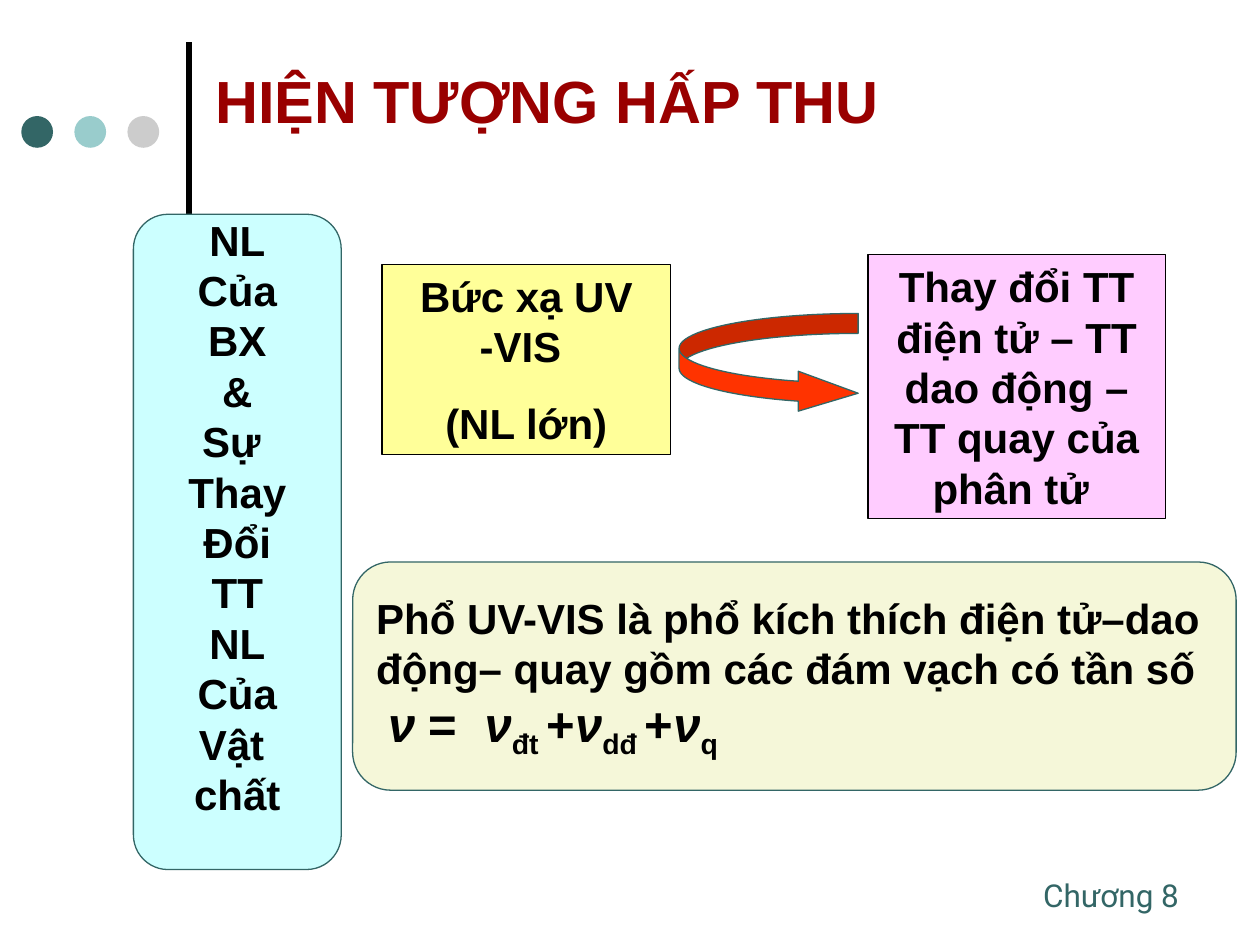
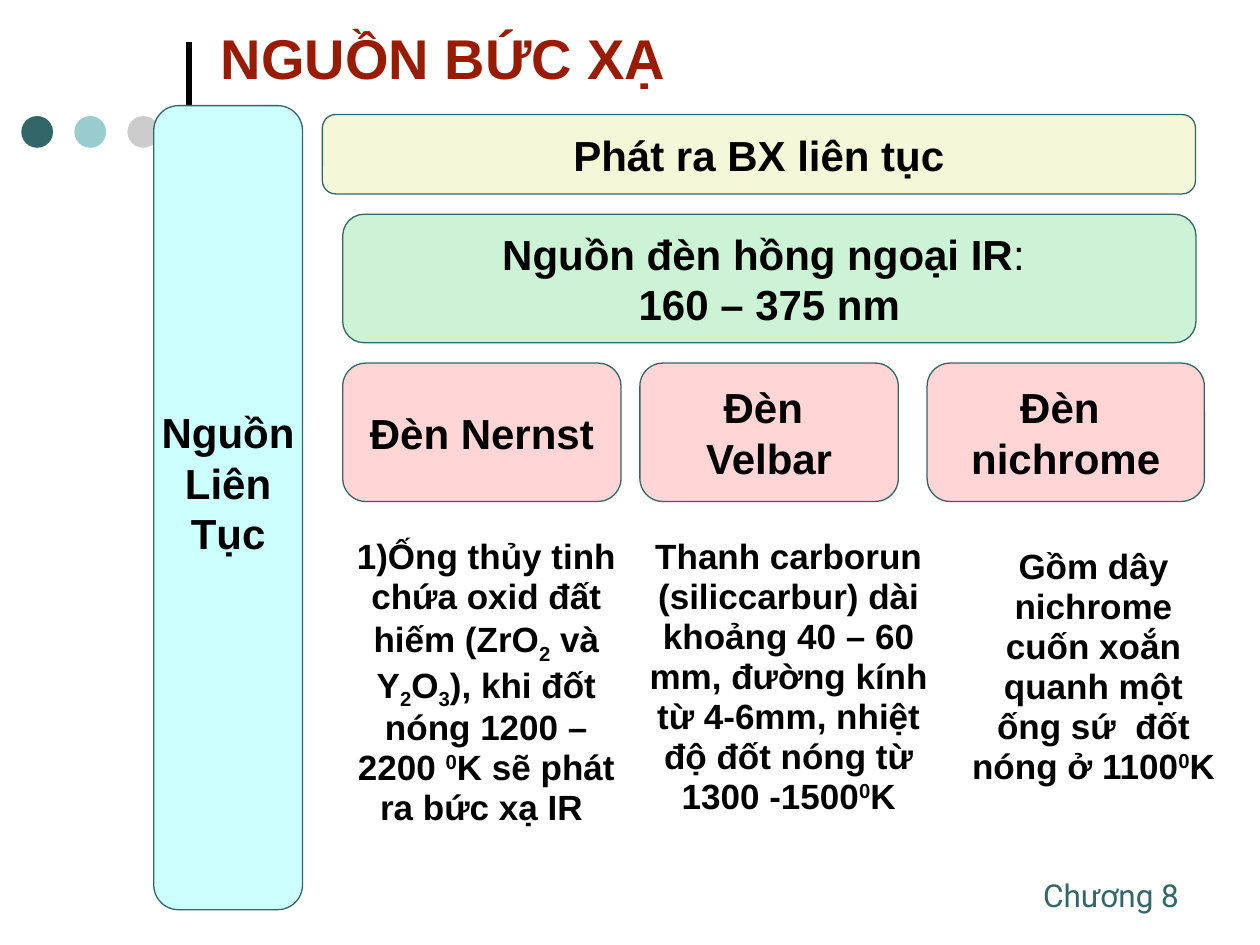
from dataclasses import dataclass

from lxml import etree
from pptx import Presentation
from pptx import util as u
from pptx.dml.color import RGBColor
from pptx.enum import shapes, text
from pptx.oxml.ns import qn

Cm, Pt = u.Cm, u.Pt
LEFT, CENTER = text.PP_ALIGN.LEFT, text.PP_ALIGN.CENTER
TOP, MIDDLE = text.MSO_ANCHOR.TOP, text.MSO_ANCHOR.MIDDLE
RECT, ROUND = shapes.MSO_SHAPE.RECTANGLE, shapes.MSO_SHAPE.ROUNDED_RECTANGLE


@dataclass(frozen=True)
class Theme:
    font: str = "Arial"
    footer_font: str = "Roboto"
    ink: str = "000000"
    teal: str = "336666"
    dots: tuple = ("336666", "99CCCC", "CCCCCC")
    crimson: str = "990000"
    rust: str = "981B02"
    cyan: str = "CCFFFF"
    yellow: str = "FFFF99"
    pink: str = "FFCCFF"
    cream: str = "F5F7D9"
    green: str = "CDF3D6"
    rose: str = "FFD5D5"
    arrow: str = "FF3300"
    title_large: int = 34
    title_small: int = 32
    body: int = 24
    formula: int = 28
    detail: int = 20
    footer: int = 18


theme = Theme()
BASELINES = {"sub": "-25000", "sup": "30000"}


def write(box, paras, size=theme.body, color=theme.ink, font=theme.font, bold=True,
          align=CENTER, anchor=TOP, wrap=True):
    """Fill a box; a paragraph is a string or a list of strings and (string, style) spans."""
    frame = box.text_frame
    frame.word_wrap = wrap
    frame.vertical_anchor = anchor
    for index, spans in enumerate(paras):
        para = frame.add_paragraph() if index else frame.paragraphs[0]
        para.alignment = align
        para.font.name, para.font.size, para.font.bold = font, Pt(size), bold
        para.font.color.rgb = RGBColor.from_string(color)
        for part in [spans] if isinstance(spans, str) else spans:
            words, style = (part, None) if isinstance(part, str) else part
            span = para.add_run()
            span.text = words
            if style in BASELINES:
                span._r.get_or_add_rPr().set("baseline", BASELINES[style])
            elif style == "italic":
                span.font.italic = True
            elif style == "regular":
                span.font.bold = False
    return frame


def add_panel(page, kind, place, fill, line=None):
    panel = page.shapes.add_shape(kind, *map(Cm, place))
    panel.shadow.inherit = False
    panel.fill.solid()
    panel.fill.fore_color.rgb = RGBColor.from_string(fill)
    if line:
        panel.line.color.rgb = RGBColor.from_string(line)
        panel.line.width = Pt(0.75)
    else:
        panel.line.fill.background()
    return panel


deck = Presentation()
deck.slide_width, deck.slide_height = Cm(25.4), Cm(19.05)

# Shared frame: rule, dots, footer and title
titles = [
    ("HIỆN TƯỢNG HẤP THU", (4.09, 0.71, 21.31, 2.59), theme.title_large, theme.crimson),
    ("NGUỒN BỨC XẠ", (4.2, 0, 17.9, 2.31), theme.title_small, theme.rust),
]
for title, place, size, color in titles:
    page = deck.slides.add_slide(deck.slide_layouts[6])
    rule = page.shapes.add_connector(shapes.MSO_CONNECTOR.STRAIGHT,
                                     Cm(3.81), Cm(4.45), Cm(3.81), Cm(0.84))
    rule.line.color.rgb = RGBColor.from_string(theme.ink)
    rule.line.width = Pt(3)
    etree.SubElement(rule._element.spPr, qn("a:effectLst"))
    for index, dot in enumerate(theme.dots):
        add_panel(page, shapes.MSO_SHAPE.OVAL, (0.43 + 1.07 * index, 2.34, 0.64, 0.64), dot)
    footer = page.shapes.add_textbox(Cm(20.78), Cm(17.53), Cm(3.43), Cm(1.02))
    write(footer, ["Chương 8"], theme.footer, theme.teal, theme.footer_font,
          bold=False, align=LEFT, wrap=False)
    heading = page.shapes.add_textbox(*map(Cm, place))
    write(heading, [title], size, color, align=LEFT, anchor=MIDDLE)

absorption, sources = deck.slides

# Tall side bars, with one line left free at the foot
side_bars = [
    (absorption, (2.69, 4.32, 4.19, 13.21),
     ["NL", "Của", "BX", "&", "Sự ", "Thay", "Đổi", "TT", "NL", "Của", "Vật ", "chất"]),
    (sources, (3.1, 2.13, 3, 16.21), ["Nguồn", "Liên", "Tục"]),
]
for page, place, lines in side_bars:
    bar = add_panel(page, ROUND, place, theme.cyan, theme.teal)
    write(bar, lines, anchor=MIDDLE, wrap=False).margin_bottom = Cm(1.15)

# Absorption
radiation = add_panel(absorption, RECT, (7.7, 5.33, 5.82, 3.84), theme.yellow, theme.ink)
frame = write(radiation, ["Bức xạ UV -VIS ", "(NL lớn)"])
frame.paragraphs[1].space_before = Pt(15)

change = add_panel(absorption, RECT, (17.5, 5.13, 5.99, 5.33), theme.pink, theme.ink)
write(change, ["Thay đổi TT điện tử – TT dao động – TT quay của phân tử "])

arrow = add_panel(absorption, shapes.MSO_SHAPE.CURVED_RIGHT_ARROW,
                  (13.69, 6.32, 3.61, 2.01), theme.arrow, theme.teal)
for index, share in enumerate((0.2, 0.4, 0.6)):
    arrow.adjustments[index] = share

spectrum = add_panel(absorption, ROUND, (7.11, 11.33, 17.81, 4.6), theme.cream, theme.teal)
frame = write(spectrum, [
    "Phổ UV-VIS là phổ kích thích điện tử–dao",
    "động– quay gồm các đám vạch có tần số",
    [("ν ", "italic"), "=  ", ("ν", "italic"), ("đt ", "sub"), "+",
     ("ν", "italic"), ("dđ ", "sub"), "+", ("ν", "italic"), ("q", "sub")],
], align=LEFT, anchor=MIDDLE, wrap=False)
formula = frame.paragraphs[2]
formula.font.size = Pt(theme.formula)
formula._p.get_or_add_pPr().set("marL", str(Cm(0.24)))

# Radiation sources
lamp_top, lamp_height = 7.32, 2.79
panels = [
    ((6.5, 2.31, 17.6, 1.6), theme.cream, ["Phát ra BX liên tục"]),
    ((6.91, 4.32, 17.2, 2.59), theme.green,
     [["Nguồn đèn hồng ngoại IR", (": ", "regular")], "160 – 375 nm"]),
    ((6.91, lamp_top, 5.61, lamp_height), theme.rose, ["Đèn Nernst"]),
    ((12.9, lamp_top, 5.21, lamp_height), theme.rose, ["Đèn ", "Velbar"]),
    ((18.69, lamp_top, 5.59, lamp_height), theme.rose, ["Đèn ", "nichrome"]),
]
for place, fill, lines in panels:
    panel = add_panel(sources, ROUND, place, fill, theme.teal)
    write(panel, lines, anchor=MIDDLE, wrap=False)

lamp_details = [
    ((6.91, 10.72, 5.79, 6.96),
     ["1)Ống thủy tinh chứa oxid đất hiếm (ZrO", ("2", "sub"), " và Y", ("2", "sub"), "O",
      ("3", "sub"), "), khi đốt nóng 1200 – 2200 ", ("0", "sup"), "K sẽ phát ra bức xạ IR "]),
    ((12.7, 10.72, 6.4, 5.89),
     ["Thanh carborun (siliccarbur) dài khoảng 40 – 60 mm, đường kính từ 4-6mm, "
      "nhiệt độ đốt nóng từ 1300 -1500", ("0", "sup"), "K"]),
    ((19.3, 10.92, 5.49, 5.08),
     ["Gồm dây nichrome cuốn xoắn quanh một ống sứ  đốt nóng ở 1100", ("0", "sup"), "K "]),
]
for place, spans in lamp_details:
    detail = sources.shapes.add_textbox(*map(Cm, place))
    write(detail, [spans], theme.detail).paragraphs[0].line_spacing = 0.95

deck.save("out.pptx")
